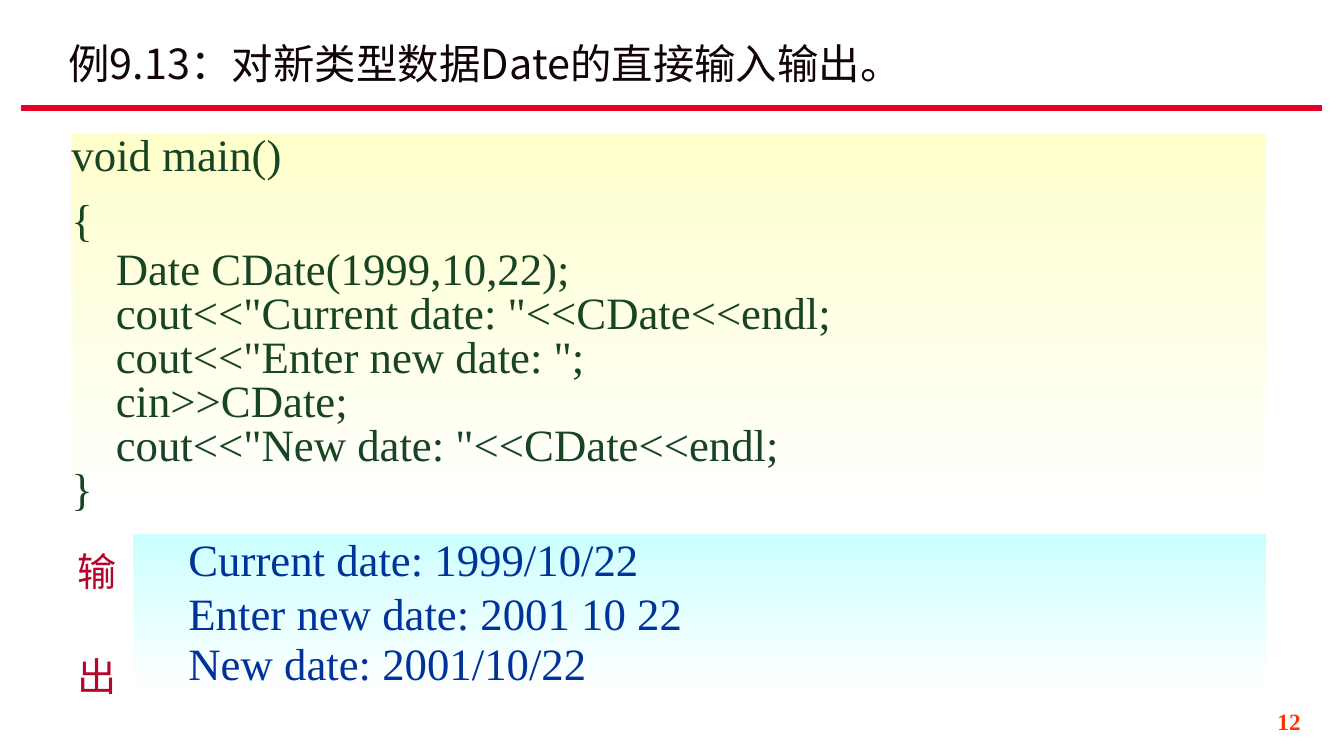
from lxml.etree import SubElement
from pptx import Presentation
from pptx.dml.color import RGBColor
from pptx.enum.shapes import MSO_CONNECTOR, MSO_SHAPE
from pptx.enum.text import MSO_ANCHOR, MSO_AUTO_SIZE, PP_ALIGN
from pptx.oxml.ns import qn
from pptx.util import Inches, Pt

WHITE = RGBColor(0xFF, 0xFF, 0xFF)
RED = RGBColor(0xE6, 0x02, 0x23)
CRIMSON = RGBColor(0xB6, 0x04, 0x2A)
ORANGE = RGBColor(0xFF, 0x33, 0x00)
INK = RGBColor(0x11, 0x03, 0x06)
GREEN = RGBColor(0x17, 0x45, 0x23)
BLUE = RGBColor(0x00, 0x33, 0x99)
CREAM = RGBColor(0xFF, 0xFF, 0xCC)
AQUA = RGBColor(0xCC, 0xFF, 0xFF)
SERIF = "Times New Roman"
CHINESE = "Noto Sans CJK SC"

presentation = Presentation()
presentation.slide_width = Inches(13.34)
presentation.slide_height = Inches(7.5)
slide = presentation.slides.add_slide(presentation.slide_layouts[5])
shapes = slide.shapes

LEFT = Inches(0.71)
RIGHT = Inches(12.57)
OUTPUT_LEFT = Inches(1.32)
OUTPUT_TOP = Inches(5.3)


def write_lines(shape, lines, font_name, size, color, align=PP_ALIGN.LEFT,
                anchor=MSO_ANCHOR.MIDDLE, inset=0, before=20):
    frame = shape.text_frame
    frame.word_wrap = True
    frame.auto_size = MSO_AUTO_SIZE.NONE
    frame.vertical_anchor = anchor
    frame.margin_left = frame.margin_right = 0
    frame.margin_top = frame.margin_bottom = Inches(inset)
    frame.text = "\n".join(text for text, spacing, indent in lines)
    for paragraph, (text, spacing, indent) in zip(frame.paragraphs, lines):
        paragraph.alignment = align
        paragraph.line_spacing = spacing
        paragraph.space_before = Pt(before)
        paragraph.font.name = font_name
        paragraph.font.size = Pt(size)
        paragraph.font.color.rgb = color
        properties = paragraph._p.get_or_add_pPr()
        properties.set("marL", str(Inches(indent)))
        properties.set("indent", "0")
        defaults = properties.find(qn("a:defRPr"))
        SubElement(defaults, qn("a:ea")).set("typeface", CHINESE)


def add_panel(left, top, height, color):
    panel = shapes.add_shape(MSO_SHAPE.RECTANGLE, left, top, RIGHT - left, height)
    panel.shadow.inherit = False
    panel.line.fill.background()
    panel.fill.gradient()
    panel.fill.gradient_angle = 270
    for stop, stop_color, position in zip(panel.fill.gradient_stops, (color, WHITE), (0, 1)):
        stop.color.rgb = stop_color
        stop.position = position
    return panel


rule = shapes.add_connector(MSO_CONNECTOR.STRAIGHT, Inches(0.21), Inches(1.07),
                            Inches(13.12), Inches(1.07))
rule.line.color.rgb = RED
rule.line.width = Pt(4.5)
SubElement(rule._element.spPr, qn("a:effectLst"))

title = shapes.title
title.left, title.top, title.width, title.height = map(Inches, (0.68, 0.41, 9.92, 0.5))
write_lines(title, [("例9.13：对新类型数据Date的直接输入输出。", 0.9, 0)],
            CHINESE, 29.6, INK, before=8)

code_lines = [
    ("void main()", 0.7, 0),
    ("{", 0.7, 0),
    ("Date CDate(1999,10,22);", 0.3, 0.44),
    ('cout<<"Current date: "<<CDate<<endl;', 0.3, 0.44),
    ('cout<<"Enter new date: ";', 0.3, 0.44),
    ("cin>>CDate;", 0.3, 0.44),
    ('cout<<"New date: "<<CDate<<endl;', 0.3, 0.44),
    ("}", 0.3, 0),
]
code_panel = add_panel(LEFT, Inches(1.32), Inches(3.81), CREAM)
write_lines(code_panel, code_lines, SERIF, 32, GREEN, inset=0.08)

output_label = shapes.add_textbox(LEFT, OUTPUT_TOP, Inches(0.5), Inches(1.77))
write_lines(output_label, [("输", 1.0, 0), ("出", 1.0, 0)], "Arial", 28, CRIMSON,
            align=PP_ALIGN.CENTER, before=41)
output_label.text_frame.paragraphs[0].space_before = Pt(0)

output_lines = [
    ("Current date: 1999/10/22", 0.8, 0.55),
    ("Enter new date: 2001 10 22", 0.4, 0.55),
    ("New date: 2001/10/22", 0.4, 0.55),
]
output_panel = add_panel(OUTPUT_LEFT, OUTPUT_TOP, Inches(1.57), AQUA)
write_lines(output_panel, output_lines, SERIF, 32, BLUE, anchor=MSO_ANCHOR.TOP, inset=0.08)

page_number = shapes.add_textbox(Inches(10.23), Inches(7), Inches(2.68), Inches(0.4))
write_lines(page_number, [("12", 0.9, 0)], SERIF, 16.6, ORANGE, align=PP_ALIGN.RIGHT,
            anchor=MSO_ANCHOR.TOP, inset=0.05, before=11.2)
page_number.text_frame.paragraphs[0].font.bold = True

presentation.save("out.pptx")
